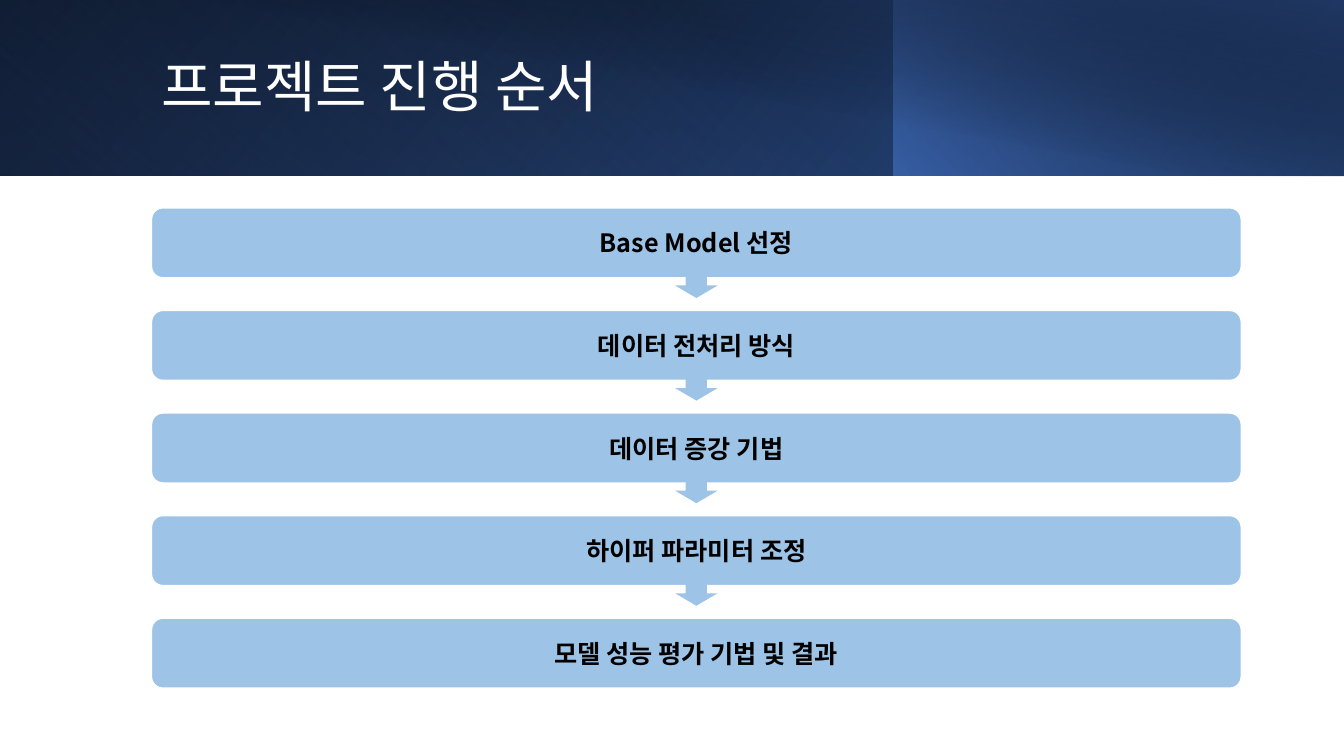
from dataclasses import dataclass

import lxml.etree
import pptx
import pptx.dml.color
import pptx.enum.shapes
import pptx.enum.text
import pptx.oxml.ns
import pptx.util

Cm = pptx.util.Cm
Pt = pptx.util.Pt
RGBColor = pptx.dml.color.RGBColor
Preset = pptx.enum.shapes.MSO_SHAPE
Align = pptx.enum.text.PP_ALIGN
qn = pptx.oxml.ns.qn

WHITE = RGBColor(0xFF, 0xFF, 0xFF)
BLACK = RGBColor(0x00, 0x00, 0x00)
SKY = RGBColor(0x9D, 0xC3, 0xE6)
ROYAL = RGBColor(0x44, 0x72, 0xC4)
NAVY = RGBColor(0x20, 0x38, 0x64)
DENIM = RGBColor(0x2F, 0x55, 0x97)
FONT = "Noto Sans CJK KR"

STEPS = [
    "Base Model 선정",
    "데이터 전처리 방식",
    "데이터 증강 기법",
    "하이퍼 파라미터 조정",
    "모델 성능 평가 기법 및 결과",
]
MARGIN, CONTENT_WIDTH = 3.81, 27.48
FIRST_STEP_TOP, STEP_HEIGHT, STEP_PITCH = 5.23, 1.78, 2.585
ARROW_WIDTH, ARROW_HEIGHT, ARROW_DROP = 1.07, 0.63, 1.65


@dataclass(frozen=True)
class Stop:
    position: int
    color: RGBColor
    opacity: int = 100


@dataclass(frozen=True)
class Band:
    left: float
    width: float
    height: float
    angle: int
    stops: tuple[Stop, Stop]
    flipped: bool = True
    rotation: int = 0


HEADER = [
    Band(0, 33.87, 4.42, 140, (Stop(0, BLACK), Stop(100, DENIM))),
    Band(0, 22.55, 4.42, 230, (Stop(20, ROYAL, 0), Stop(100, NAVY, 55)), rotation=180),
    Band(22.53, 11.33, 4.42, 220, (Stop(0, ROYAL, 66), Stop(100, BLACK, 30))),
    Band(1.27, 32.59, 4.45, 280, (Stop(50, BLACK, 0), Stop(99, NAVY, 52)), flipped=False),
]


def add_plain_shape(slide, preset, left: float, top: float, width: float, height: float):
    shape = slide.shapes.add_shape(preset, Cm(left), Cm(top), Cm(width), Cm(height))
    shape.shadow.inherit = False
    shape.line.fill.background()
    return shape


def draw_band(slide, band: Band) -> None:
    shape = add_plain_shape(slide, Preset.RECTANGLE, band.left, 0, band.width, band.height)
    shape.rotation = band.rotation
    properties = shape.element.spPr
    if band.flipped:
        properties.find(qn("a:xfrm")).set("flipH", "1")
    shape.fill.gradient()
    gradient = properties.find(qn("a:gradFill"))
    for child in list(gradient):
        gradient.remove(child)
    stop_list = lxml.etree.SubElement(gradient, qn("a:gsLst"))
    for stop in band.stops:
        entry = lxml.etree.SubElement(stop_list, qn("a:gs"), pos=str(stop.position * 1000))
        color = lxml.etree.SubElement(entry, qn("a:srgbClr"), val=str(stop.color))
        if stop.opacity < 100:
            lxml.etree.SubElement(color, qn("a:alpha"), val=str(stop.opacity * 1000))
    lxml.etree.SubElement(gradient, qn("a:lin"), ang=str(band.angle * 60000), scaled="0")


def write_text(shape, text: str, size: int, color: RGBColor, bold: bool, alignment) -> None:
    frame = shape.text_frame
    frame.word_wrap = True
    frame.auto_size = pptx.enum.text.MSO_AUTO_SIZE.NONE
    frame.vertical_anchor = pptx.enum.text.MSO_ANCHOR.MIDDLE
    paragraph = frame.paragraphs[0]
    paragraph.alignment = alignment
    run = paragraph.add_run()
    run.text = text
    run.font.color.rgb = color
    for attribute, value in {"name": FONT, "size": Pt(size), "bold": bold}.items():
        setattr(run.font, attribute, value)
    lxml.etree.SubElement(run.font._element, qn("a:ea"), typeface=FONT)


def draw_title(slide) -> None:
    title = slide.shapes.title
    place = {"left": MARGIN, "top": 0.81, "width": CONTENT_WIDTH, "height": 2.87}
    for attribute, value in place.items():
        setattr(title, attribute, Cm(value))
    write_text(title, "프로젝트 진행 순서", 40, WHITE, False, Align.LEFT)
    title.text_frame.paragraphs[0].line_spacing = 0.9
    slide.shapes.element.append(title.element)


def draw_step(slide, text: str, top: float) -> None:
    step = add_plain_shape(
        slide, Preset.FLOWCHART_ALTERNATE_PROCESS, MARGIN, top, CONTENT_WIDTH, STEP_HEIGHT
    )
    step.fill.solid()
    step.fill.fore_color.rgb = SKY
    step.line.color.rgb = WHITE
    step.line.width = Pt(1.5)
    write_text(step, text, 18, BLACK, True, Align.CENTER)


def draw_arrow(slide, top: float) -> None:
    left = MARGIN + (CONTENT_WIDTH - ARROW_WIDTH) / 2
    arrow = add_plain_shape(slide, Preset.DOWN_ARROW, left, top, ARROW_WIDTH, ARROW_HEIGHT)
    arrow.fill.solid()
    arrow.fill.fore_color.rgb = SKY


def main() -> None:
    deck = pptx.Presentation()
    deck.slide_width, deck.slide_height = Cm(33.87), Cm(19.05)
    slide = deck.slides.add_slide(deck.slide_layouts[5])
    for band in HEADER:
        draw_band(slide, band)
    draw_title(slide)
    for index, text in enumerate(STEPS):
        top = FIRST_STEP_TOP + index * STEP_PITCH
        draw_step(slide, text, top)
        if index < len(STEPS) - 1:
            draw_arrow(slide, top + ARROW_DROP)
    deck.save("out.pptx")


if __name__ == "__main__":
    main()
